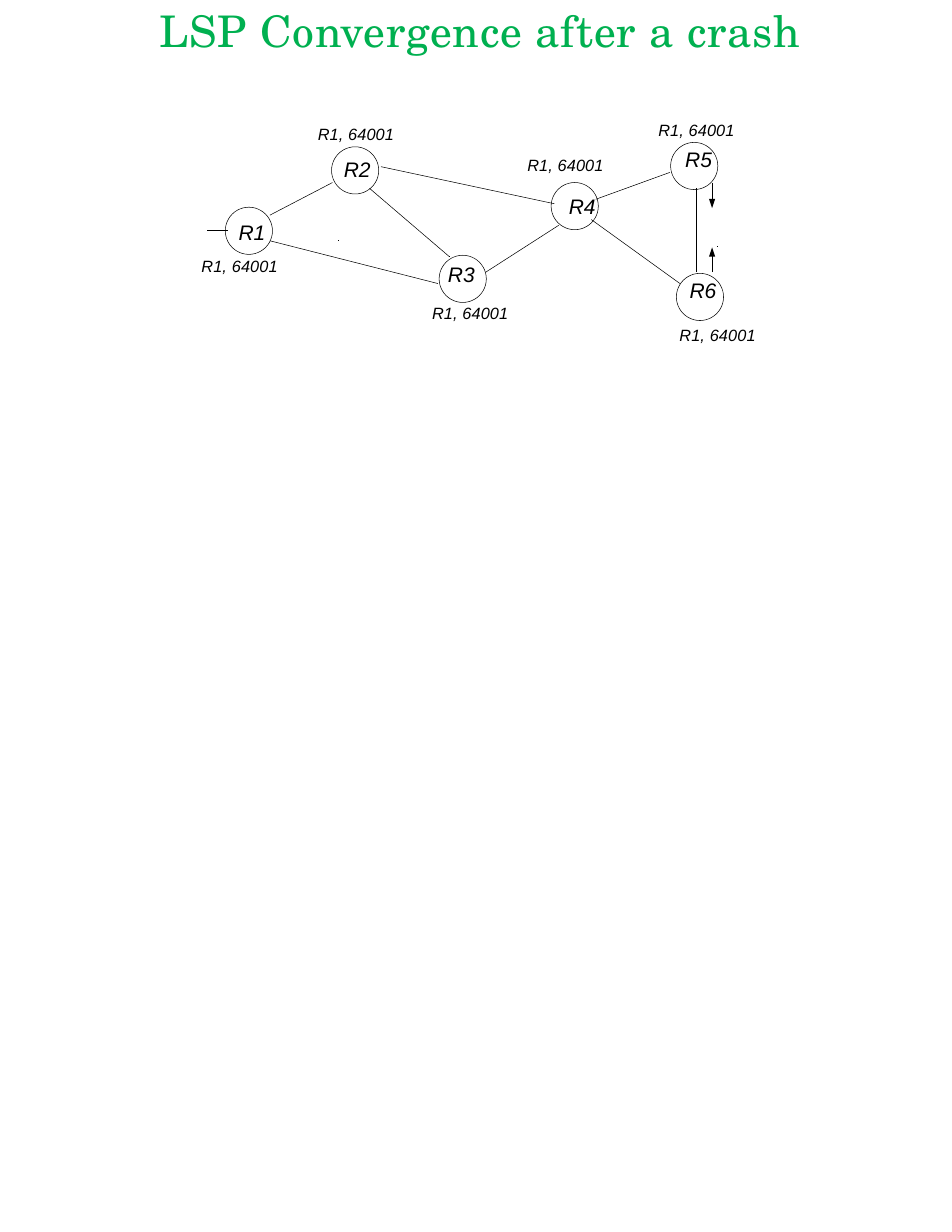
import pptx
import pptx.util
import pptx.dml.color
import pptx.enum.shapes
import pptx.enum.text
import pptx.oxml.ns
from lxml import etree

Cm, Pt = pptx.util.Cm, pptx.util.Pt
ALIGN = pptx.enum.text.PP_ALIGN
COLORS = {"ink": "000000", "title": "00B050"}
TAG = "R1, 64001"
SIZE = 1.07  # router diameter
THIN = 0.34

# Centimetres from the corner of the network's box.
ROUTERS = [(0.61, 2), (3.02, 0.63), (5.46, 3.09),
           (8, 1.44), (10.71, 0.53), (10.84, 3.5)]
LINKS = [
    (1.62, 2.18, 3.04, 1.44),    # R1-R2
    (1.62, 2.76, 5.43, 3.73),    # R1-R3
    (4.14, 1.08, 8.07, 1.92),    # R2-R4
    (3.88, 1.57, 5.69, 3.12),    # R2-R3
    (6.52, 3.47, 8.17, 2.41),    # R3-R4
    (9.01, 1.82, 10.69, 1.21),   # R4-R5
    (8.91, 2.28, 10.92, 3.73),   # R4-R6
    (11.3, 1.57, 11.3, 3.47),    # R5-R6
    (0.2, 2.53, 0.66, 2.53),     # stub into R1
]
DOTS = [(5.69, 3.12), (3.17, 2.76), (11.76, 2.89)]
ARROWS = [(11.65, 1.44, 11.65, 2.02), (11.65, 3.47, 11.65, 2.91)]
NAMES = [("R4", 8.38, 1.69), ("R5", 11.02, 0.63), ("R6", 11.12, 3.6)]
TAGS = [(7.44, 0.83), (10.41, 0.02), (10.89, 4.67)]


def color(key):
    return pptx.dml.color.RGBColor.from_string(COLORS[key])


def text(slide, x, y, w, h, rows):
    """Add a text box; each row is a dict of wording and paragraph style."""
    box = slide.shapes.add_textbox(Cm(x), Cm(y), Cm(w), Cm(h))
    frame = box.text_frame
    frame.word_wrap = True
    frame.margin_left = frame.margin_right = 0
    frame.margin_top = frame.margin_bottom = 0
    for i, row in enumerate(rows):
        para = frame.add_paragraph() if i else frame.paragraphs[0]
        para.text = row["text"]
        para.alignment = row.get("align", ALIGN.LEFT)
        para._p.get_or_add_pPr().set("marL", str(Cm(row.get("indent", 0.02))))
        if i:
            para.space_before = Pt(row["before"])
        font = para.font
        font.name = row.get("font", "Arial")
        font.size = Pt(row["size"])
        font.italic = row.get("italic", True)
        font.color.rgb = color(row.get("color", "ink"))
        if "track" in row:
            para.runs[0]._r.get_or_add_rPr().set("spc", str(row["track"]))


def name(label, **style):
    return dict(text=label, size=13.5, **style)


def tag(**style):
    return dict(text=TAG, size=10.5, track=10, **style)


def line(slide, x1, y1, x2, y2, arrow=False):
    link = slide.shapes.add_connector(
        pptx.enum.shapes.MSO_CONNECTOR.STRAIGHT, Cm(x1), Cm(y1), Cm(x2), Cm(y2))
    link.line.width = Pt(THIN)
    link.line.color.rgb = color("ink")
    qn = pptx.oxml.ns.qn
    if arrow:
        etree.SubElement(link.line._get_or_add_ln(), qn("a:tailEnd"),
                         type="triangle", w="sm", len="med")
    etree.SubElement(link._element.spPr, qn("a:effectLst"))


def router(slide, x, y):
    ring = slide.shapes.add_shape(
        pptx.enum.shapes.MSO_SHAPE.OVAL, Cm(x), Cm(y), Cm(SIZE), Cm(SIZE))
    ring.shadow.inherit = False
    ring.fill.background()
    ring.line.width = Pt(THIN)
    ring.line.color.rgb = color("ink")


def network(slide, left, top):
    for x, y in ROUTERS:
        router(slide, left + x, top + y)
    dots = [(x, y, x + 0.02, y) for x, y in DOTS]
    for ends, arrow in ((LINKS + dots, False), (ARROWS, True)):
        for x1, y1, x2, y2 in ends:
            line(slide, left + x1, top + y1, left + x2, top + y2, arrow)

    for label, x, y in NAMES:
        text(slide, left + x, top + y, 0.69, 0.61, [name(label)])
    for x, y in TAGS:
        text(slide, left + x, top + y, 1.83, 0.48, [tag()])
    mid = ALIGN.CENTER
    for x, y, h, rows in (
        (0.05, 2.28, 1.32, [name("R1", indent=0.86), tag(before=7.1)]),
        (5.28, 3.24, 1.42, [name("R3", indent=0.38), tag(before=10.4)]),
        (2.66, 0.12, 1.35, [tag(align=mid, indent=0),
                            name("R2", align=mid, indent=0.05, before=8.1)]),
    ):
        text(slide, left + x, top + y, 1.83, h, rows)


def title(slide, left, top, width, height):
    text(slide, left, top, width, height, [dict(
        text="LSP Convergence after a crash", size=28, track=50, italic=False,
        font="TeX Gyre Schola", color="title", align=ALIGN.CENTER)])


def main():
    deck = pptx.Presentation()
    deck.slide_width, deck.slide_height = Cm(21.59), Cm(27.94)
    slide = deck.slides.add_slide(deck.slide_layouts[6])
    network(slide, 4.5, 2.7)
    title(slide, 3.12, 0.08, 15.52, 1.19)
    deck.save("out.pptx")


if __name__ == "__main__":
    main()
